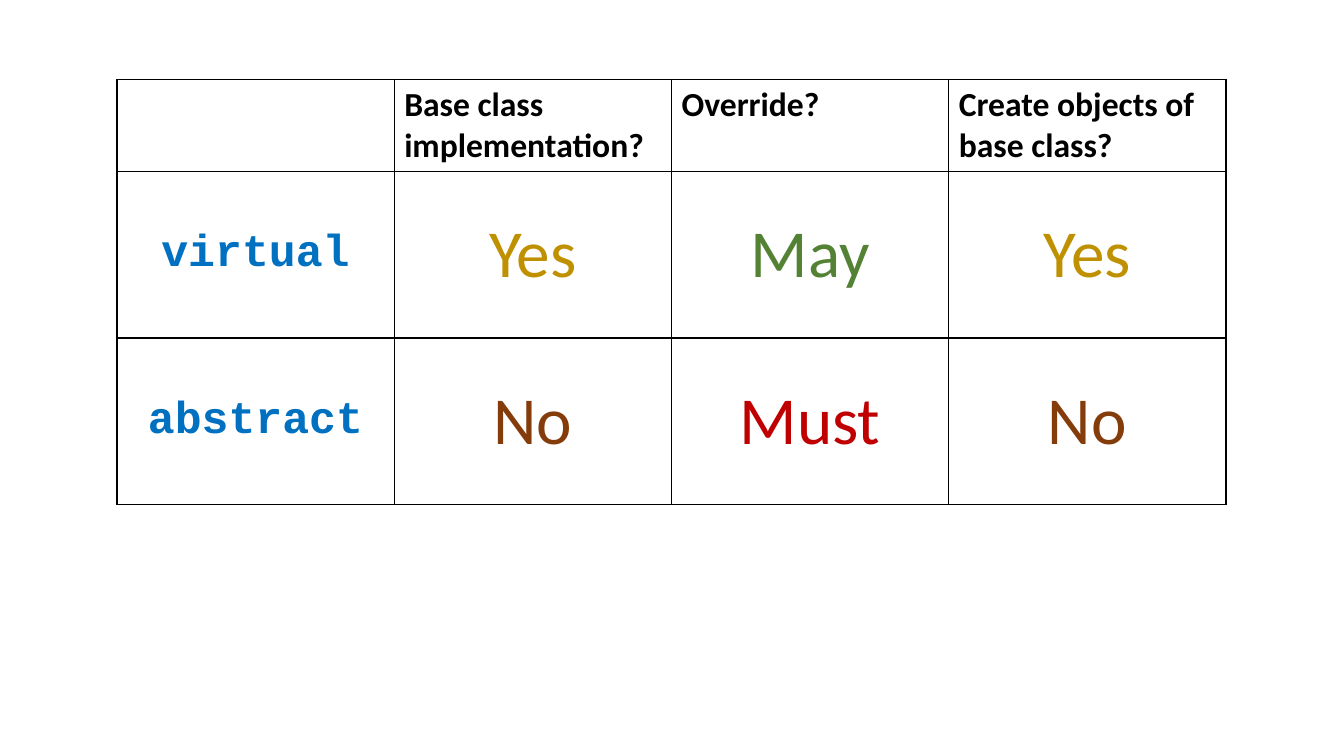
"""Builds a slide comparing virtual and abstract methods in a table."""
from lxml import etree
from pptx import Presentation
from pptx.dml.color import RGBColor
from pptx.enum.text import MSO_ANCHOR, PP_ALIGN
from pptx.oxml.ns import qn
from pptx.util import Inches, Pt

LEFT, CENTER = PP_ALIGN.LEFT, PP_ALIGN.CENTER
TOP, MIDDLE = MSO_ANCHOR.TOP, MSO_ANCHOR.MIDDLE
COLORS = {"black": "000000", "keyword": "0070C0", "Yes": "BF9000",
          "May": "548235", "No": "843C0B", "Must": "C00000"}
HEADERS = ["", "Base class\nimplementation?", "Override?",
           "Create objects of base class?"]
ROWS = [["virtual", "Yes", "May", "Yes"],
        ["abstract", "No", "Must", "No"]]


class Deck:
    def __init__(self, prs):
        self.s = prs.slides.add_slide(prs.slide_layouts[6])
        self.header = ("Calibri", 24, True, LEFT, TOP)
        self.keyword = ("Courier New", 32, True, CENTER, MIDDLE)
        self.answer = ("Calibri", 48, False, CENTER, MIDDLE)

    def table(self, left, top, col_width, row_heights, headers, rows):
        shape = self.s.shapes.add_table(
            len(row_heights), len(headers), Inches(left), Inches(top),
            Inches(col_width * len(headers)), Inches(sum(row_heights)))
        tbl = shape.table
        tbl.first_row = tbl.horz_banding = False
        for col in tbl.columns:
            col.width = Inches(col_width)
        for row, height in zip(tbl.rows, row_heights):
            row.height = Inches(height)
        for j, text in enumerate(headers):
            self.cell(tbl.cell(0, j), text, "black", self.header)
        for i, (keyword, *answers) in enumerate(rows, 1):
            self.cell(tbl.cell(i, 0), keyword, "keyword", self.keyword)
            for j, answer in enumerate(answers, 1):
                self.cell(tbl.cell(i, j), answer, answer, self.answer)

    def cell(self, cell, text, color, style):
        font, size, bold, align, anchor = style
        self.border(cell)
        cell.fill.background()
        cell.vertical_anchor = anchor
        tf = cell.text_frame
        for k, line in enumerate(text.split("\n") if text else []):
            p = tf.add_paragraph() if k else tf.paragraphs[0]
            p.alignment = align
            r = p.add_run()
            r.text = line
            r.font.name, r.font.size, r.font.bold = font, Pt(size), bold
            r.font.color.rgb = RGBColor.from_string(COLORS[color])

    def border(self, cell):
        tcPr = cell._tc.get_or_add_tcPr()
        for side in ("a:lnL", "a:lnR", "a:lnT", "a:lnB"):
            ln = etree.SubElement(tcPr, qn(side), w=str(Pt(1)))
            fill = etree.SubElement(ln, qn("a:solidFill"))
            etree.SubElement(fill, qn("a:srgbClr"), val=COLORS["black"])


prs = Presentation()
prs.slide_width, prs.slide_height = Inches(13.33), Inches(7.5)
deck = Deck(prs)
deck.table(1.16, 0.79, 2.75, [0.91, 1.65, 1.65], HEADERS, ROWS)
prs.save("out.pptx")
